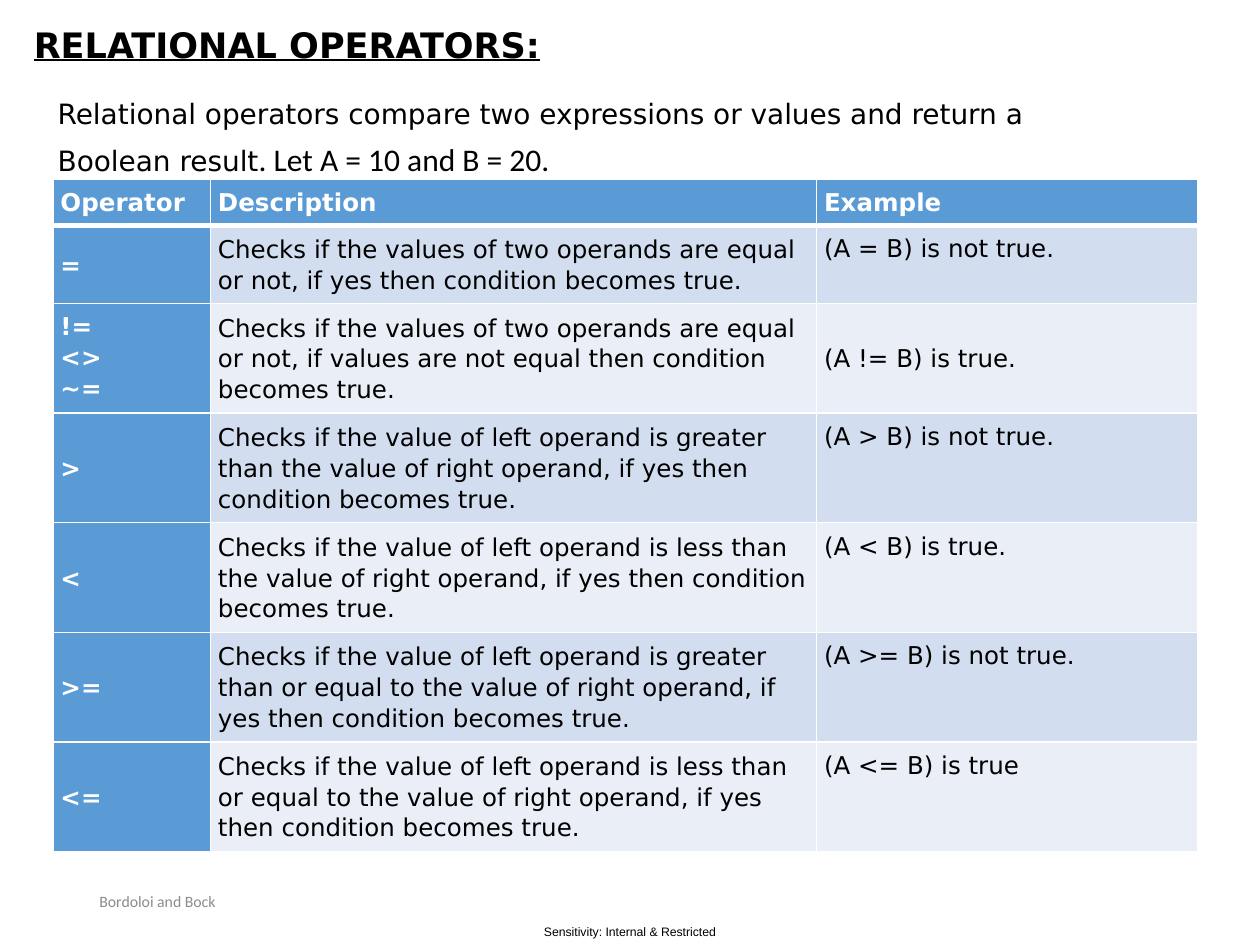
from lxml.etree import SubElement
from pptx import Presentation
from pptx.dml.color import RGBColor
from pptx.enum.text import MSO_ANCHOR as Anchor, PP_ALIGN as Align
from pptx.oxml import parse_xml
from pptx.oxml.ns import nsdecls, qn
from pptx.util import Inches, Pt

BLACK = RGBColor(0, 0, 0)
WHITE = RGBColor(255, 255, 255)
GREY = RGBColor(0x8C, 0x8C, 0x8C)
BLUE = RGBColor(0x5B, 0x9B, 0xD5)
BANDS = (RGBColor(0xD2, 0xDE, 0xEF), RGBColor(0xEA, 0xEF, 0xF7))
BODY_FONT = "DejaVu Sans"

COLUMN_WIDTHS = (1.25, 4.81, 3.03)
ROW_HEIGHTS = (0.37, 0.62) + (0.87,) * 5
HEADINGS = ("Operator", "Description", "Example")
EQUALITY = "Checks if the values of two operands are equal or not, if "
COMPARISON = ("Checks if the value of left operand is {} the value of right "
              "operand, if yes then condition becomes true.")
OPERATORS = (
    ("=", EQUALITY + "yes then condition becomes true.", "(A = B) is not true."),
    ("!=\n<>\u00a0\n~=", EQUALITY + "values are not equal then condition becomes true.",
     "(A != B) is true."),
    (">\u00a0", COMPARISON.format("greater than"), "(A > B) is not true."),
    ("<\u00a0", COMPARISON.format("less than"), "(A < B) is true."),
    (">=", COMPARISON.format("greater than or equal to"), "(A >= B) is not true."),
    ("<=", COMPARISON.format("less than or equal to"), "(A <= B) is true"),
)


def style(run, size, color=BLACK, font=BODY_FONT, bold=False):
    run.font.size = Pt(size)
    run.font.name = font
    run.font.bold = bold
    run.font.color.rgb = color


def add_frame(slide, box, anchor=Anchor.TOP):
    frame = slide.shapes.add_textbox(*map(Inches, box)).text_frame
    frame.word_wrap = True
    frame.vertical_anchor = anchor
    return frame


def add_title(slide, box):
    title = add_frame(slide, box, Anchor.MIDDLE).paragraphs[0]
    title.text = "RELATIONAL OPERATORS:"
    title.line_spacing = 0.9
    style(title.runs[0], 20, bold=True)
    title.runs[0].font.underline = True


def add_intro(slide, box):
    frame = add_frame(slide, box)
    frame.text = ("Relational operators compare two expressions or values and return a \n"
                  "Boolean result")
    for line in frame.paragraphs:
        line.line_spacing = 0.9
        line.space_before = Pt(7.5)
        indents = line._p.get_or_add_pPr()
        indents.set("marL", str(Inches(0.81)))
        indents.set("indent", str(Inches(-0.62)))
        style(line.runs[0], 16)
    values = frame.paragraphs[1].add_run()
    values.text = ". Let A = 10 and B = 20."
    style(values, 18, font="Calibri")


def add_footer(slide, box):
    authors = add_frame(slide, box, Anchor.MIDDLE)
    authors.text = "Bordoloi and Bock"
    style(authors.paragraphs[0].runs[0], 9, GREY, "Calibri")


def add_sensitivity(slide, box):
    label = add_frame(slide, box, Anchor.MIDDLE)
    label.margin_left = label.margin_right = label.margin_top = label.margin_bottom = 0
    label.text = "Sensitivity: Internal & Restricted"
    label.paragraphs[0].alignment = Align.CENTER
    style(label.paragraphs[0].runs[0], 7, font="Arial")


def add_borders(cell, weights):
    properties = cell._tc.get_or_add_tcPr()
    for index, (side, weight) in enumerate(zip("LRTB", weights)):
        border = parse_xml(f'<a:ln{side} {nsdecls("a")} w="{Pt(weight)}"/>')
        SubElement(SubElement(border, qn("a:solidFill")), qn("a:srgbClr"), val=str(WHITE))
        properties.insert(index, border)


def fill_cell(cell, text, row, column):
    emphasised = row == 0 or column == 0
    cell.text = text
    cell.margin_left = cell.margin_right = Inches(0.06)
    cell.margin_top = cell.margin_bottom = Inches(0.06)
    top_anchored = row == 0 or (row == 2 and column == 0) or (row != 2 and column == 2)
    cell.vertical_anchor = Anchor.TOP if top_anchored else Anchor.MIDDLE
    for line in cell.text_frame.paragraphs:
        line.line_spacing = 1.07
        style(line.runs[0], 14, WHITE if emphasised else BLACK, bold=emphasised)
    add_borders(cell, (1, 1, 3 if row == 1 else 1, 3 if row == 0 else 1))
    cell.fill.solid()
    cell.fill.fore_color.rgb = BLUE if emphasised else BANDS[(row - 1) % 2]


def add_operator_table(slide, left, top):
    contents = (HEADINGS,) + OPERATORS
    table = slide.shapes.add_table(
        len(contents), len(HEADINGS), Inches(left), Inches(top),
        Inches(sum(COLUMN_WIDTHS)), Inches(sum(ROW_HEIGHTS))).table
    for column, width in zip(table.columns, COLUMN_WIDTHS):
        column.width = Inches(width)
    for row, height in zip(table.rows, ROW_HEIGHTS):
        row.height = Inches(height)
    for row, texts in enumerate(contents):
        for column, text in enumerate(texts):
            fill_cell(table.cell(row, column), text, row, column)


def build():
    deck = Presentation()
    deck.slide_width, deck.slide_height = Inches(10), Inches(7.5)
    slide = deck.slides.add_slide(deck.slide_layouts[6])
    add_sensitivity(slide, (4.18, 7.28, 1.64, 0.22))
    add_title(slide, (0.17, 0, 9.5, 0.75))
    add_intro(slide, (0.17, 0.75, 9.67, 6.2))
    add_footer(slide, (0.69, 6.95, 2.25, 0.4))
    add_operator_table(slide, 0.42, 1.42)
    deck.save("out.pptx")


build()
